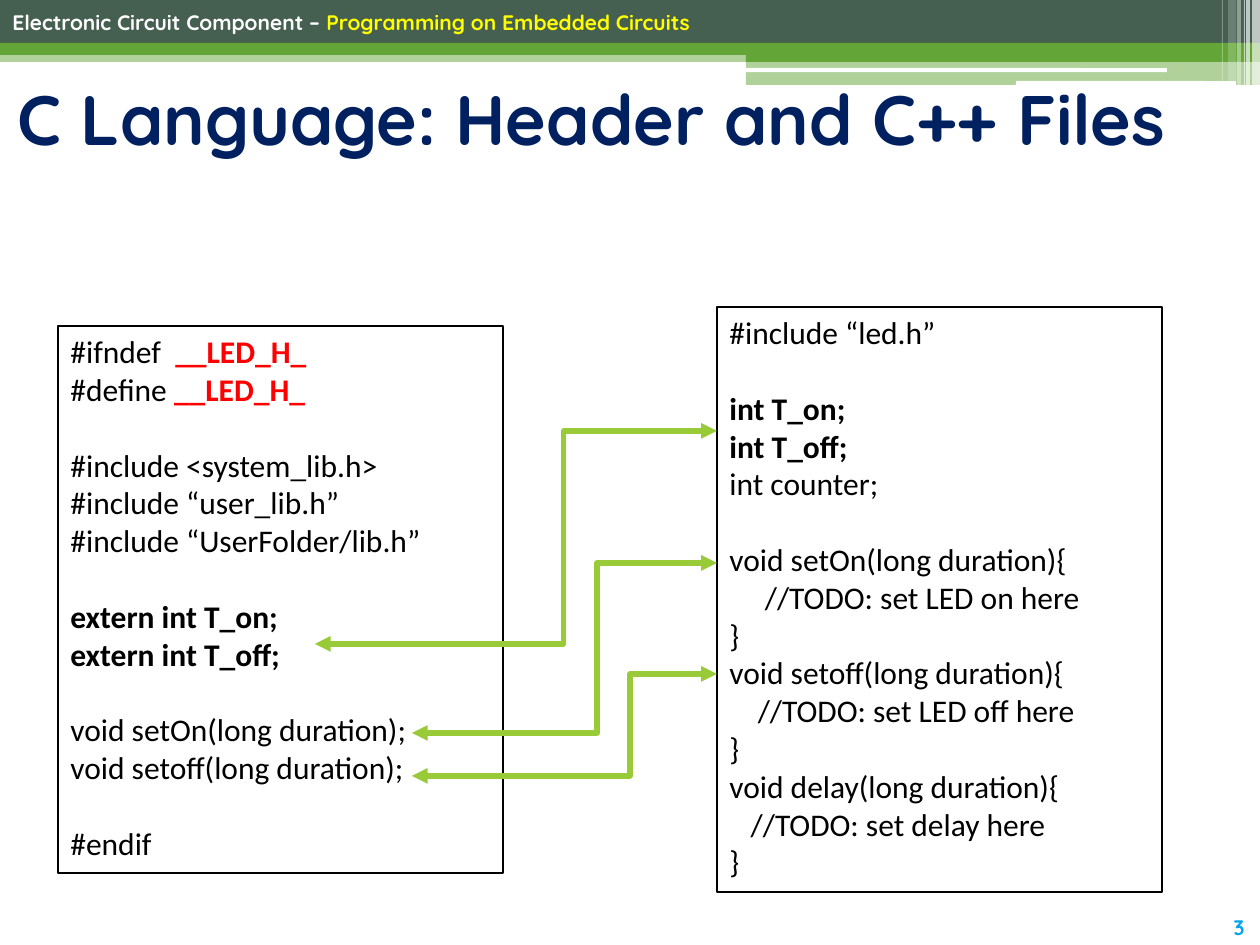
import pptx
import pptx.util
import pptx.dml.color
import pptx.enum.shapes
import pptx.enum.text
import pptx.oxml.ns
import lxml.etree
from dataclasses import dataclass

SCALE = 914400 / 126  # EMU per px


@dataclass(frozen=True)
class Theme:
    head: str = "Quicksand"
    code: str = "Calibri"
    small: int = 12
    body: int = 18
    big: int = 40
    gap: float = 21.6  # one line of code, in points
    dark: str = "455F51"
    green: str = "63A537"
    lime: str = "99CB38"
    white: str = "FFFFFF"
    black: str = "000000"
    navy: str = "002060"
    yellow: str = "FFFF00"
    red: str = "FF0000"
    blue: str = "08A5EF"


T = Theme()

# Header bands: left, top, width, height, colour, opacity %
BANDS = [
    (0, 50, 1260, 12, T.green, 50),
    (0, 0, 1260, 43, T.dark, 100),
    (0, 43, 1260, 12, T.green, 100),
    (746, 49, 514, 13, T.green, 100),
    (746, 60, 514, 25, T.green, 50),
]
BARS = [(745, 68, 422, 4), (1016, 81, 220, 5)]
# Stripes at the right edge: left, width, height, opacity %
STRIPES = [(1252, 8, 86, 65), (1246, 4, 86, 65), (1244, 1, 86, 60),
           (1237, 4, 86, 40), (1228, 8, 81, 20), (1222, 1, 81, 30)]

COURSE = [("Electronic Circuit Component – ", T.white),
          ("Programming on Embedded Circuits", T.yellow)]
TITLE = "C Language: Header and C++ Files"
NUMBER = "3"

# Code: blocks of lines, each line a list of (text, colour, bold)


def plain(*lines):
    return [[(line, T.black, False)] for line in lines]


def strong(*lines):
    return [[(line, T.black, True)] for line in lines]


GUARD = ("__LED_H_", T.red, True)
HEADER = [
    [[("#ifndef  ", T.black, False), GUARD],
     [("#define ", T.black, False), GUARD]],
    plain("#include <system_lib.h>", "#include “user_lib.h”",
          "#include “UserFolder/lib.h”"),
    strong("extern int T_on;", "extern int T_off;"),
    plain("void setOn(long duration);", "void setoff(long duration);"),
    plain("#endif"),
]
SOURCE = [
    plain("#include “led.h”"),
    strong("int T_on;", "int T_off;") + plain("int counter;"),
    plain("void setOn(long duration){", "     //TODO: set LED on here", "}",
          "void setoff(long duration){", "    //TODO: set LED off here", "}",
          "void delay(long duration){", "   //TODO: set delay here", "}"),
]
PANELS = [((58, 326, 445, 547), HEADER), ((717, 307, 445, 585), SOURCE)]

# Links: start x, start y, bend x, end y; all end at the source panel
LINKS = [(315, 644, 564, 431), (412, 733, 597, 563), (412, 776, 630, 674)]
EDGE = PANELS[1][0][0]

SHAPE = pptx.enum.shapes.MSO_SHAPE
ANCHOR = pptx.enum.text.MSO_ANCHOR
ALIGN = pptx.enum.text.PP_ALIGN


def px(*vals):
    return [round(v * SCALE) for v in vals]


def rgb(code):
    return pptx.dml.color.RGBColor.from_string(code)


def sub(node, tag, **attrs):
    return lxml.etree.SubElement(node, pptx.oxml.ns.qn(tag), attrs)


def block(slide, box, color, alpha=100, kind=SHAPE.RECTANGLE):
    shape = slide.shapes.add_shape(kind, *px(*box))
    shape.shadow.inherit = False
    shape.line.fill.background()
    shape.fill.solid()
    shape.fill.fore_color.rgb = rgb(color)
    if alpha < 100:
        tint = shape.fill._xPr.find(".//" + pptx.oxml.ns.qn("a:srgbClr"))
        sub(tint, "a:alpha", val=str(alpha * 1000))
    return shape


def add_run(para, text, font, size, color, bold):
    run = para.add_run()
    run.text = text
    run.font.name = font
    run.font.size = pptx.util.Pt(size)
    run.font.bold = bold
    run.font.color.rgb = rgb(color)


def label(slide, box, runs, size, wrap=False, anchor=ANCHOR.TOP,
          align=ALIGN.LEFT):
    frame = slide.shapes.add_textbox(*px(*box)).text_frame
    frame.word_wrap = wrap
    frame.vertical_anchor = anchor
    para = frame.paragraphs[0]
    para.alignment = align
    for text, color in runs:
        add_run(para, text, T.head, size, color, True)


def panel(slide, box, blocks):
    shape = slide.shapes.add_shape(SHAPE.RECTANGLE, *px(*box))
    shape.shadow.inherit = False
    shape.fill.background()
    shape.line.color.rgb = rgb(T.black)
    shape.line.width = pptx.util.Pt(1.25)
    frame = shape.text_frame
    frame.word_wrap = True
    frame.vertical_anchor = ANCHOR.TOP
    para = None
    for lines in blocks:
        for row, line in enumerate(lines):
            first = para is None
            para = frame.paragraphs[0] if first else frame.add_paragraph()
            para.alignment = ALIGN.LEFT
            if row == 0 and not first:
                para.space_before = pptx.util.Pt(T.gap)
            for text, color, bold in line:
                add_run(para, text, T.code, T.body, color, bold)


def link(slide, left, start, bend, end):
    line = slide.shapes.add_connector(
        pptx.enum.shapes.MSO_CONNECTOR.ELBOW, *px(left, start, EDGE, end))
    line.line.color.rgb = rgb(T.lime)
    line.line.width = pptx.util.Pt(3)
    props = line._element.spPr
    guides = props.find(".//" + pptx.oxml.ns.qn("a:avLst"))
    ratio = round((bend - left) / (EDGE - left) * 100000)
    sub(guides, "a:gd", name="adj1", fmla=f"val {ratio}")
    stroke = line.line._get_or_add_ln()
    for tag in ("a:headEnd", "a:tailEnd"):
        sub(stroke, tag, type="triangle")
    sub(props, "a:effectLst")


def main():
    deck = pptx.Presentation()
    deck.slide_width, deck.slide_height = px(1260, 945)
    slide = deck.slides.add_slide(deck.slide_layouts[6])

    # Header decoration
    for *box, color, alpha in BANDS:
        block(slide, box, color, alpha)
    for box in BARS:
        block(slide, box, T.white, kind=SHAPE.ROUNDED_RECTANGLE)
    for left, width, height, alpha in STRIPES:
        block(slide, (left, 0, width, height), T.white, alpha)

    # Course line, page number and title
    label(slide, (0, 3, 722, 38), COURSE, T.small)
    label(slide, (1215, 908, 48, 38), [(NUMBER, T.blue)], T.small,
          align=ALIGN.CENTER)
    label(slide, (5, 66, 1241, 103), [(TITLE, T.navy)], T.big, wrap=True,
          anchor=ANCHOR.MIDDLE)

    # Code panels and the links between them
    for box, blocks in PANELS:
        panel(slide, box, blocks)
    for spot in LINKS:
        link(slide, *spot)

    deck.save("out.pptx")


if __name__ == "__main__":
    main()
